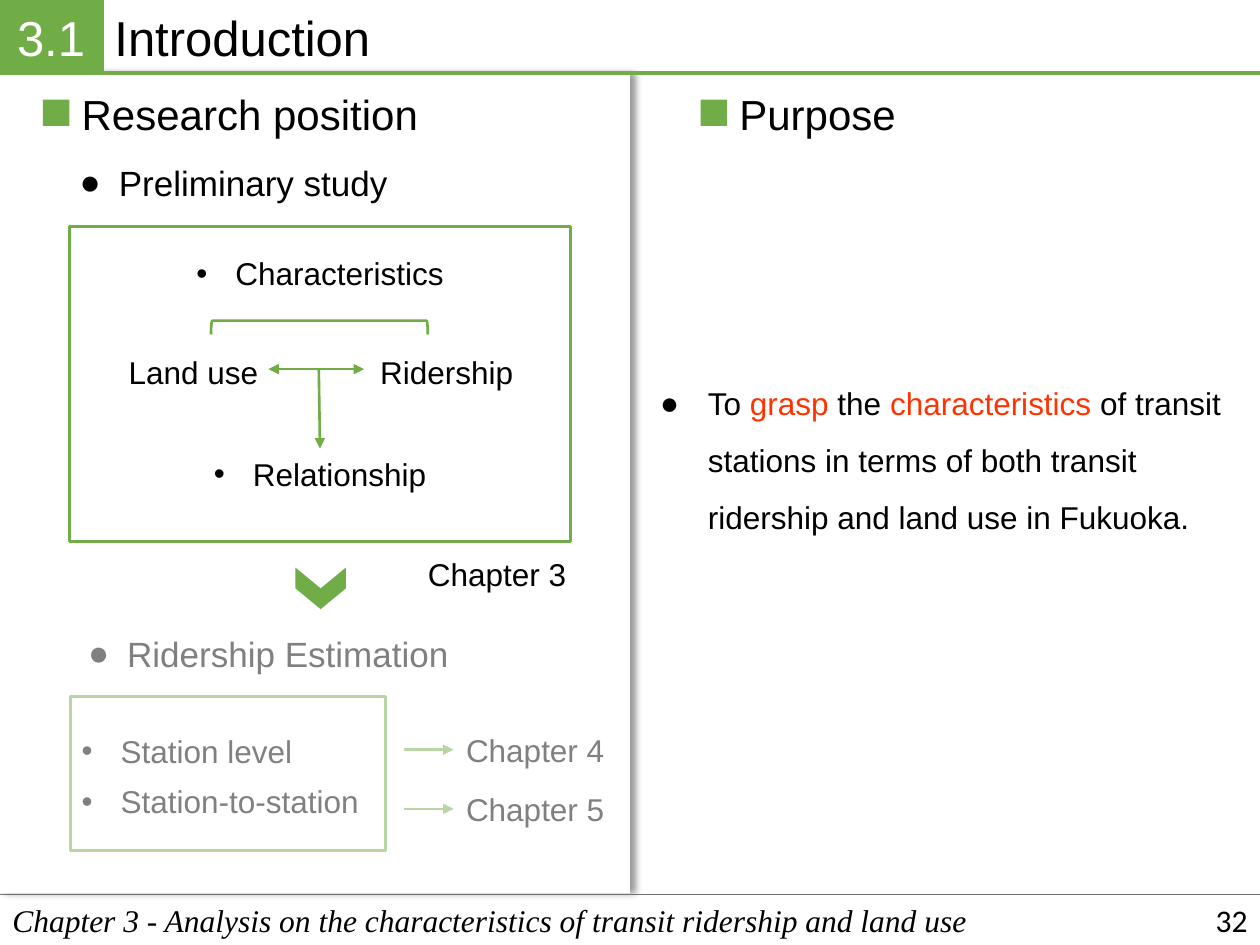
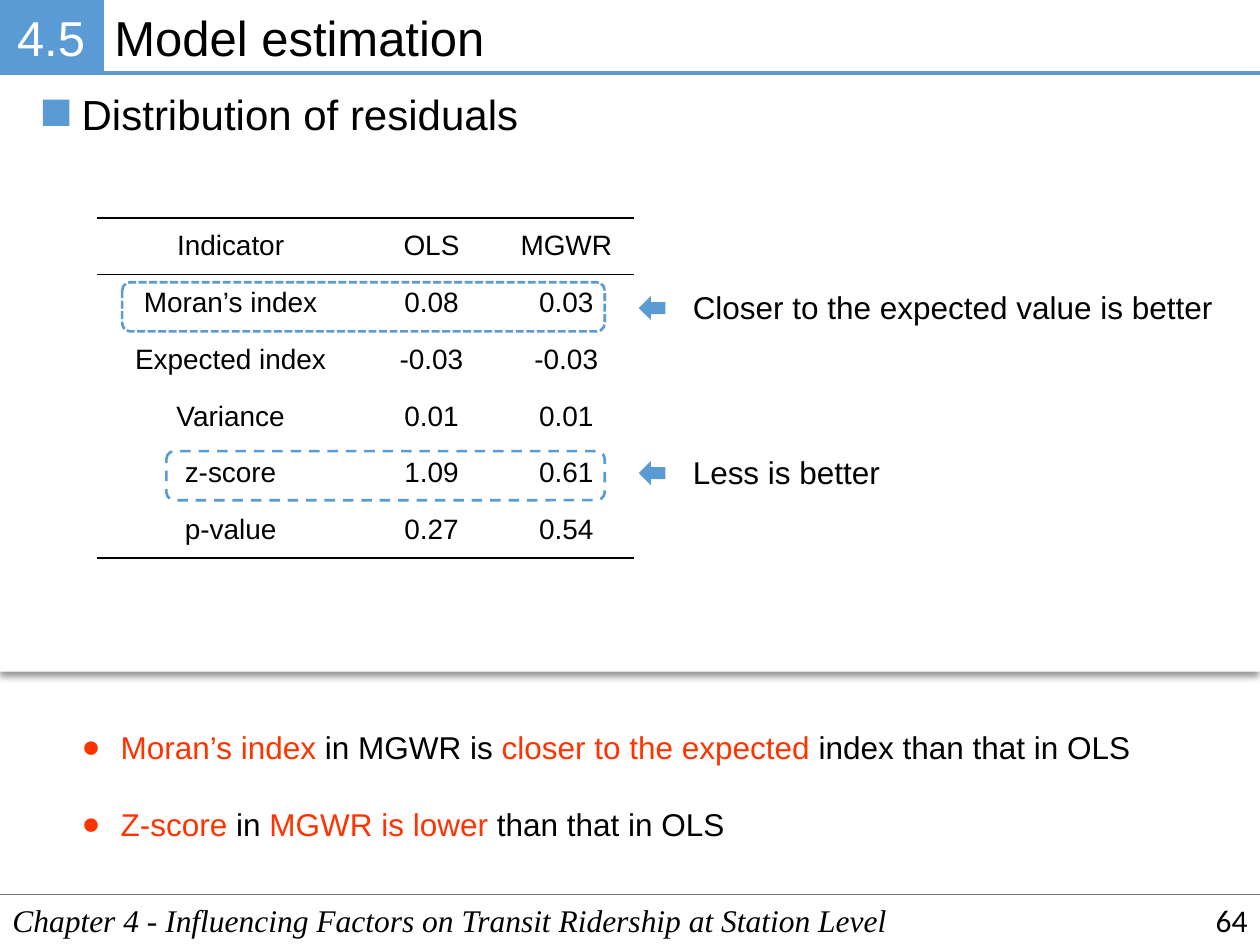
from lxml.etree import SubElement
from pptx import Presentation
from pptx.dml.color import RGBColor
from pptx.enum.dml import MSO_LINE as Dash
from pptx.enum.shapes import MSO_CONNECTOR as Link, MSO_SHAPE as Kind
from pptx.enum.text import MSO_ANCHOR as Anchor, MSO_AUTO_SIZE as Fit, PP_ALIGN as Align
from pptx.oxml.ns import qn
from pptx.util import Inches, Pt

BLACK, WHITE, GREY, RED = "000000", "FFFFFF", "767171", "FF3300"
GREEN, BLUE = "70AD47", "5B9BD5"
LEFT, MID, RIGHT = Align.LEFT, Align.CENTER, Align.RIGHT
ROW = 0.4


def rgb(code):
    return RGBColor.from_string(code)


def sub(node, tag, **attrs):
    return SubElement(node, qn(tag), {k: str(v) for k, v in attrs.items()})


class Deck:
    """Holds the shared style and the slide being built."""

    def __init__(self):
        self.prs = Presentation()
        self.prs.slide_width, self.prs.slide_height = Inches(10), Inches(7.5)

    def start(self, accent, num, title, foot, page, panel, turn):
        self.accent = accent
        self.shapes = self.prs.slides.add_slide(self.prs.slide_layouts[6]).shapes
        self.panel(*panel, turn)
        self.text(foot, 0, 7.1, 10, font="Times New Roman", italic=True)
        self.line(0, 7.1, 10, 7.1, GREY, 1)
        self.text(title, 0.81, 0.01, 9.19, 0.57, size=28)
        badge = self.shape(Kind.RECTANGLE, 0, 0, 0.81, 0.58, accent, accent, 2.25)
        self.label(badge, num, 28, WHITE, MID)
        frame = badge.text_frame
        frame.margin_left = frame.margin_right = Inches(0.06)
        frame.margin_top = frame.margin_bottom = Inches(0.06)
        self.line(0.81, 0.58, 10, 0.58, accent, 2.25)
        number = self.text(page, 7.75, 7.1, 2.25, font="Calibri", align=RIGHT)
        number.text_frame.vertical_anchor = Anchor.MIDDLE

    def shape(self, kind, x, y, w, h, fill=None, edge=None, width=1.5, dash=None, turn=0):
        item = self.shapes.add_shape(kind, Inches(x), Inches(y), Inches(w), Inches(h))
        item.rotation = turn
        if fill:
            item.fill.solid()
            item.fill.fore_color.rgb = rgb(fill)
        else:
            item.fill.background()
        if edge:
            item.line.color.rgb = rgb(edge)
            item.line.width = Pt(width)
            if dash:
                item.line.dash_style = dash
        else:
            item.line.fill.background()
        item.shadow.inherit = False
        return item

    def panel(self, x, y, w, h, turn):
        item = self.shape(Kind.RECTANGLE, x, y, w, h, WHITE)
        fx = item.element.spPr.find(qn("a:effectLst"))
        shade = sub(fx, "a:outerShdw", blurRad=Pt(4), dist=Pt(3), dir=turn * 60000,
                    algn="l" if turn == 0 else "t", rotWithShape=0)
        sub(sub(shade, "a:srgbClr", val=BLACK), "a:alpha", val=40000)

    def veil(self, x, y, w, h):
        item = self.shape(Kind.RECTANGLE, x, y, w, h, WHITE)
        tint = item.element.spPr.find(qn("a:solidFill")).find(qn("a:srgbClr"))
        sub(tint, "a:alpha", val=50000)

    def label(self, item, words, size=18, color=BLACK, align=LEFT, font="Arial",
              italic=False, mark=None, dent=0.31, gap=None):
        para = item.text_frame.paragraphs[0]
        para.alignment = align
        if gap:
            para.line_spacing = gap
        if mark:
            props = para._p.get_or_add_pPr()
            props.set("marL", str(Inches(dent)))
            props.set("indent", str(-Inches(dent)))
            sub(props, "a:buFont", typeface="Arial")
            sub(props, "a:buChar", char=mark)
        for i, part in enumerate(words.split("*")):
            if part:
                run = para.add_run()
                run.text = part
                run.font.size, run.font.name = Pt(size), font
                run.font.italic = italic
                run.font.color.rgb = rgb(RED if i % 2 else color)

    def text(self, words, x, y, w, h=ROW, wrap=True, **style):
        box = self.shapes.add_textbox(Inches(x), Inches(y), Inches(w), Inches(h))
        box.text_frame.word_wrap = wrap
        box.text_frame.auto_size = Fit.SHAPE_TO_FIT_TEXT
        self.label(box, words, **style)
        return box

    def head(self, words, x, w):
        self.shape(Kind.RECTANGLE, x, 0.79, 0.21, 0.21, self.accent)
        self.text(words, x + 0.21, 0.65, w, 0.5, wrap=False, size=24)

    def line(self, x, y, x2, y2, color=None, width=1.5, ends=(), to=None, side=0):
        item = self.shapes.add_connector(
            Link.STRAIGHT, Inches(x), Inches(y), Inches(x2), Inches(y2))
        item.line.color.rgb = rgb(color or self.accent)
        item.line.width = Pt(width)
        for end in ends:
            sub(item.element.spPr.find(qn("a:ln")), f"a:{end}End", type="triangle")
        sub(item.element.spPr, "a:effectLst")
        if to:
            item.end_connect(to, side)

    def table(self, rows, x, y, cols, high):
        grid = self.shapes.add_table(len(rows), len(cols), Inches(x), Inches(y),
                                     Inches(sum(cols)), Inches(high * len(rows))).table
        grid.first_row = grid.horz_banding = False
        for col, w in zip(grid.columns, cols):
            col.width = Inches(w)
        last = len(rows) - 1
        for r, row in enumerate(rows):
            grid.rows[r].height = Inches(high)
            top = {0: 1.5, 1: 1}.get(r, 0)
            low = {0: 1, last: 1.5}.get(r, 0)
            for c, words in enumerate(row):
                cell = grid.cell(r, c)
                cell.margin_top = cell.margin_bottom = 0
                cell.margin_left = cell.margin_right = Inches(0.09)
                cell.vertical_anchor = Anchor.MIDDLE
                self.label(cell, words, 16, align=MID)
                self.rule(cell, L=0, R=0, T=top, B=low)
                cell.fill.background()

    def rule(self, cell, **sides):
        props = cell._tc.get_or_add_tcPr()
        for side, width in sides.items():
            edge = sub(props, f"a:ln{side}", w=Pt(width))
            if width:
                sub(sub(edge, "a:solidFill"), "a:srgbClr", val=BLACK)
            else:
                sub(edge, "a:noFill")


def intro(deck):
    deck.start(GREEN, "3.1", "Introduction",
               "Chapter 3 - Analysis on the characteristics of transit ridership and land use",
               "32", (0, 0.58, 5, 6.51), 0)
    deck.head("Research position", 0.34, 2.9)
    deck.head("Purpose", 5.56, 1.46)
    deck.text("To *grasp* the *characteristics* of transit stations in terms of both "
              "transit ridership and land use in Fukuoka.",
              5.14, 2.85, 4.72, 1.41, mark="●", dent=0.38, gap=1.5)
    for words, y, w in (("Preliminary study", 1.23, 3.03),
                        ("Ridership Estimation", 4.97, 3.58)):
        deck.text(words, 0.34, y, w, 0.44, size=20, align=MID, mark="●")

    deck.shape(Kind.RECTANGLE, 0.55, 1.8, 3.98, 2.5, edge=GREEN)
    deck.text("Characteristics", 0.55, 1.97, 3.98, align=MID, mark="•")
    goal = deck.text("Relationship", 0.55, 3.56, 3.98, align=MID, mark="•")
    for words, x in (("Land use", 0.55), ("Ridership", 2.56)):
        deck.text(words, x, 2.75, 1.97, align=MID)
    deck.shape(Kind.LEFT_BRACKET, 2.48, 1.74, 0.11, 1.72, edge=GREEN, turn=90)
    deck.line(2.13, 2.93, 2.89, 2.93, ends=("head", "tail"))
    deck.line(2.53, 2.93, 2.54, 3.56, ends=("tail",), to=goal)
    deck.shape(Kind.CHEVRON, 2.38, 4.47, 0.33, 0.4, GREEN, turn=90)
    deck.text("Chapter 3", 3.29, 4.36, 1.31, wrap=False, align=MID)

    deck.shape(Kind.RECTANGLE, 0.56, 5.53, 2.5, 1.22, edge=GREEN)
    deck.text("Station level", 0.55, 5.76, 1.89, wrap=False, mark="•")
    deck.text("Station-to-station", 0.55, 6.16, 2.5, mark="•")
    for words, y in (("Chapter 4", 5.75), ("Chapter 5", 6.22)):
        goal = deck.text(words, 3.6, y, 1.31, wrap=False)
        mid = y + ROW / 2
        deck.line(3.21, mid, 3.6, mid, ends=("tail",), to=goal, side=1)
    deck.veil(0.44, 4.97, 4.48, 1.94)


def model(deck):
    deck.start(BLUE, "4.5", "Model estimation",
               "Chapter 4 - Influencing Factors on Transit Ridership at Station Level",
               "64", (0, 0.59, 10, 4.74), 90)
    deck.head("Distribution of residuals", 0.34, 3.7)
    deck.table((("Indicator", "OLS", "MGWR"),
                ("Moran’s index", "0.08", "0.03"),
                ("Expected index", "-0.03", "-0.03"),
                ("Variance", "0.01", "0.01"),
                ("z-score", "1.09", "0.61"),
                ("p-value", "0.27", "0.54")), 0.77, 1.73, (2.12, 1.07, 1.07), 0.45)
    for words, x, y, w, dash, top, wide in (
            ("Closer to the expected value is better", 0.97, 2.24, 3.83,
             Dash.SQUARE_DOT, 2.24, 4.37),
            ("Less is better", 1.32, 3.58, 3.48, Dash.DASH, 3.55, 1.7)):
        deck.shape(Kind.ROUNDED_RECTANGLE, x, y, w, 0.39, edge=BLUE, dash=dash)
        deck.text(words, 5.4, top, wide, wrap=False)
        deck.shape(Kind.RIGHT_ARROW, 5.07, top + 0.11, 0.21, 0.19, BLUE, turn=180)
    for words, y in (
            ("*Moran’s index* in MGWR is *closer to the expected* index than that in OLS", 5.73),
            ("*Z-score* in *MGWR is lower* than that in OLS", 6.34)):
        deck.text(words, 0.55, y, 8.6, mark="●")


def main():
    deck = Deck()
    intro(deck)
    model(deck)
    deck.prs.save("out.pptx")


if __name__ == "__main__":
    main()
